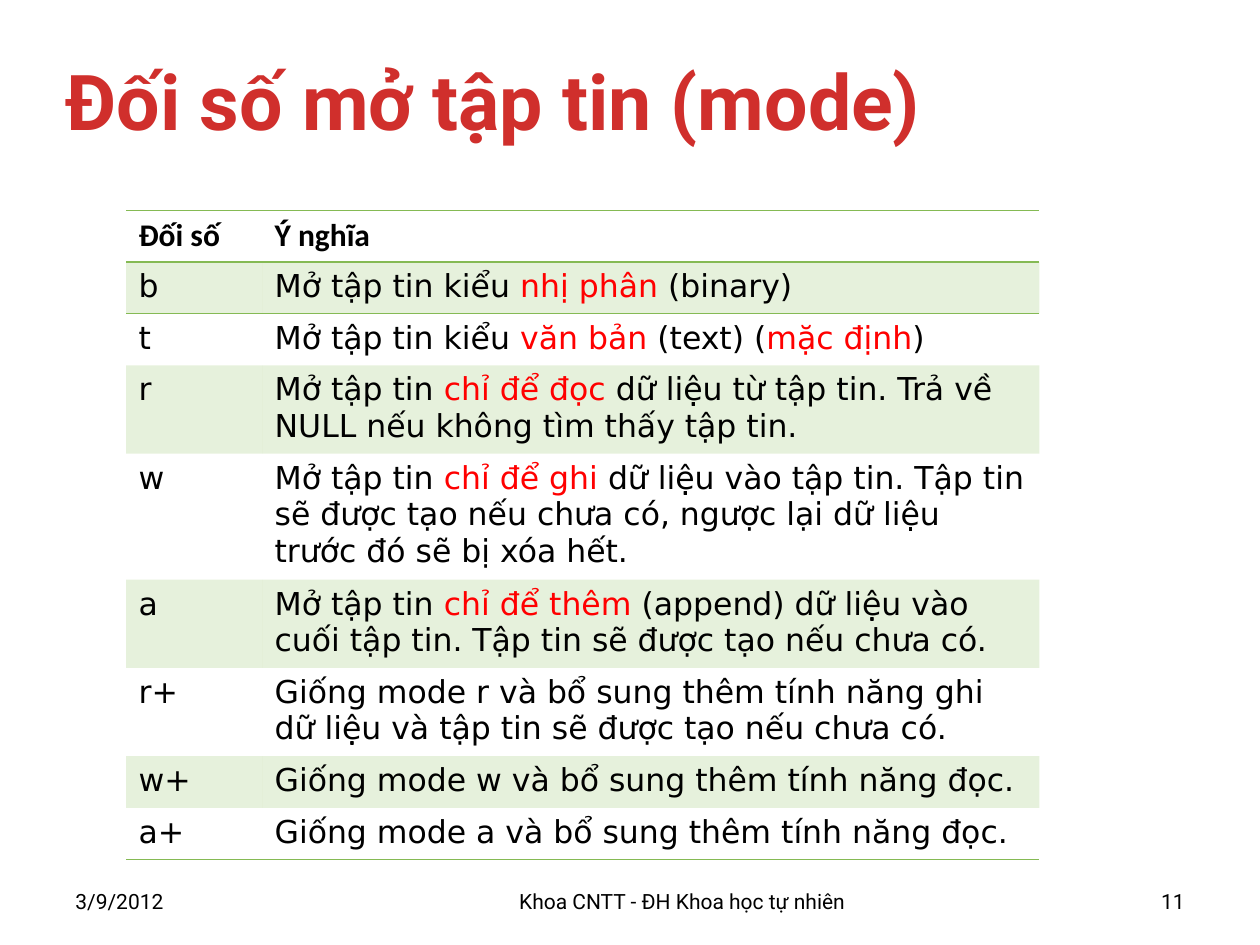
"""Builds a slide with a table of file opening modes."""
from lxml.etree import SubElement
from pptx import Presentation
from pptx.dml.color import RGBColor
from pptx.enum.text import MSO_ANCHOR as Anchor, MSO_AUTO_SIZE as AutoSize, PP_ALIGN as Align
from pptx.oxml import parse_xml
from pptx.oxml.ns import nsdecls, qn
from pptx.util import Inches, Pt

TITLE = "Đối số mở tập tin (mode)"
HEADER = ("Đối số", ["Ý nghĩa"])
MODES = [
    ("b", ["Mở tập tin kiểu ", "nhị phân", " (binary)"]),
    ("t", ["Mở tập tin kiểu ", "văn bản", " (text) (", "mặc định", ")"]),
    ("r", ["Mở tập tin ", "chỉ để đọc ",
           "dữ liệu từ tập tin. Trả về NULL nếu không tìm thấy tập tin."]),
    ("w", ["Mở tập tin ", "chỉ để ghi ",
           "dữ liệu vào tập tin. Tập tin sẽ được tạo nếu chưa có, "
           "ngược lại dữ liệu trước đó sẽ bị xóa hết."]),
    ("a", ["Mở tập tin ", "chỉ để thêm",
           " (append) dữ liệu vào cuối tập tin. Tập tin sẽ được tạo nếu chưa có."]),
    ("r+", ["Giống mode r và bổ sung thêm tính năng ghi dữ liệu và tập tin sẽ được tạo nếu chưa có."]),
    ("w+", ["Giống mode w và bổ sung thêm tính năng đọc."]),
    ("a+", ["Giống mode a và bổ sung thêm tính năng đọc."]),
]
FOOTER = [
    ("3/9/2012", 0.5, 1.08, Align.LEFT),
    ("Khoa CNTT - ĐH Khoa học tự nhiên", 2.08, 6.67, Align.CENTER),
    ("11", 8.92, 0.58, Align.RIGHT),
]
BLACK, RED, GREEN, TITLE_RED = "000000", "FF0000", "85BA54", "D02F2C"
HEAD_FONT = {"name": "Calibri", "size": Pt(18), "bold": True}
BODY_FONT = {"name": "DejaVu Sans", "size": Pt(18), "bold": False}
TITLE_FONT = {"name": "Roboto", "size": Pt(44), "bold": True}
FOOTER_FONT = {"name": "Roboto", "size": Pt(12)}
COLUMNS, ROW_HEIGHT = (1.08, 6.17), 0.41
NO_STYLE = "{2D5ABB26-0587-4C30-8999-92F81FD0307C}"


def paint(fill, color):
    fill.solid()
    fill.fore_color.rgb = RGBColor.from_string(color)


def write(para, parts, font, colors=(BLACK, RED)):
    for index, part in enumerate(parts):
        span = para.add_run()
        span.text = part
        for name, value in font.items():
            setattr(span.font, name, value)
        paint(span.font.fill, colors[index % len(colors)])


def add_border(cell, side):
    cell._tc.get_or_add_tcPr().append(parse_xml(
        f'<a:{side} {nsdecls("a")} w="12700"><a:solidFill>'
        f'<a:srgbClr val="{GREEN}"/></a:solidFill></a:{side}>'))


def fill_cell(cell, banded):
    if not banded:
        cell.fill.background()
        return
    paint(cell.fill, GREEN)
    color = cell._tc.tcPr.find(f'{qn("a:solidFill")}/{qn("a:srgbClr")}')
    SubElement(color, qn("a:alpha"), val="20000")


def add_title(page):
    box = page.shapes.title
    box.left, box.top, box.width, box.height = map(Inches, (0.42, 0.17, 9.42, 1.25))
    frame = box.text_frame
    frame.auto_size, frame.vertical_anchor = AutoSize.NONE, Anchor.MIDDLE
    para = frame.paragraphs[0]
    para.alignment = Align.LEFT
    write(para, [TITLE], TITLE_FONT, (TITLE_RED,))


def add_modes(page):
    rows = [HEADER] + MODES
    table = page.shapes.add_table(
        len(rows), len(COLUMNS), Inches(1), Inches(1.67),
        Inches(sum(COLUMNS)), Inches(ROW_HEIGHT * len(rows))).table
    table.first_row = table.horz_banding = False
    table._tbl.tblPr.find(qn("a:tableStyleId")).text = NO_STYLE
    for column, width in zip(table.columns, COLUMNS):
        column.width = Inches(width)
    for index, (mode, meaning) in enumerate(rows):
        table.rows[index].height = Inches(ROW_HEIGHT)
        for cell, parts in zip(table.rows[index].cells, ([mode], meaning)):
            write(cell.text_frame.paragraphs[0], parts, BODY_FONT if index else HEAD_FONT)
            if index in (0, 1):
                add_border(cell, "lnT")
            if index in (0, len(rows) - 1):
                add_border(cell, "lnB")
            fill_cell(cell, index % 2 == 1)


def add_footer(page):
    for text, left, width, alignment in FOOTER:
        box = page.shapes.add_textbox(*map(Inches, (left, 6.95, width, 0.4)))
        frame = box.text_frame
        frame.word_wrap, frame.vertical_anchor = True, Anchor.MIDDLE
        frame.paragraphs[0].alignment = alignment
        write(frame.paragraphs[0], [text], FOOTER_FONT)


def main():
    deck = Presentation()
    deck.slide_width, deck.slide_height = Inches(10), Inches(7.5)
    page = deck.slides.add_slide(deck.slide_layouts[5])
    add_title(page)
    add_footer(page)
    add_modes(page)
    deck.save("out.pptx")


if __name__ == "__main__":
    main()
